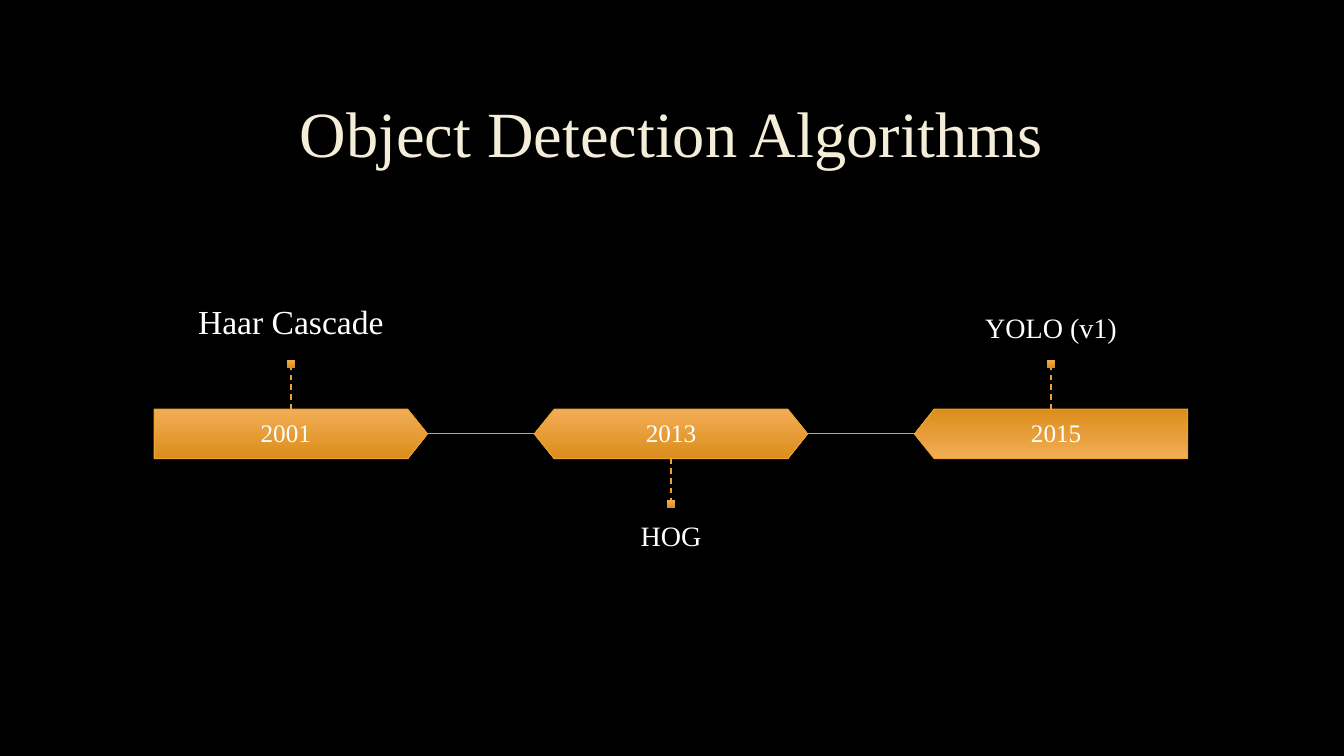
from dataclasses import dataclass

from lxml.etree import SubElement
from pptx import Presentation
from pptx.dml.color import RGBColor
from pptx.enum.dml import MSO_LINE
from pptx.enum.shapes import MSO_CONNECTOR, MSO_SHAPE
from pptx.enum.text import MSO_ANCHOR, PP_ALIGN
from pptx.oxml.ns import qn
from pptx.util import Inches, Pt

TITLE = "Object Detection Algorithms"
MILESTONES = [
    dict(year="2001", name="Haar Cascade", size=24, pad=0.23, above=True,
         shape=MSO_SHAPE.PENTAGON, turn=0, year_shift=-0.05),
    dict(year="2013", name="HOG", size=20, pad=0.19, above=False,
         shape=MSO_SHAPE.HEXAGON, turn=0, year_shift=0),
    dict(year="2015", name="YOLO (v1)", size=20, pad=0.19, above=True,
         shape=MSO_SHAPE.PENTAGON, turn=180, year_shift=0.05),
]


@dataclass(frozen=True)
class Theme:
    font: str = "Times New Roman"
    background: str = "000000"
    title: str = "F4EDD8"
    text: str = "FFFFFF"
    accent: str = "F0A22E"
    light: str = "F2AD56"
    dark: str = "DB8E1B"
    title_size: int = 46
    year_size: int = 18


THEME = Theme()
WIDTH, HEIGHT = 13.33, 7.5
PITCH = 3.77
BAR_W, BAR_H = 2.71, 0.49
BAR_LEFT, BAR_TOP = 1.53, 4.06
STEM, MARK = 0.41, 0.08
LABEL_H = 1.3
LABEL_TOPS = {True: 2.27, False: 5.03}


def color(value):
    return RGBColor.from_string(value)


def write(sp, text, size, fill, anchor, pad=0.0):
    tf = sp.text_frame
    tf.word_wrap = True
    tf.vertical_anchor = anchor
    tf.margin_left = tf.margin_right = 0
    tf.margin_top = tf.margin_bottom = Inches(pad)
    p = tf.paragraphs[0]
    p.alignment = PP_ALIGN.CENTER
    p.line_spacing = 0.9
    r = p.add_run()
    r.text = text
    r.font.name = THEME.font
    r.font.size = Pt(size)
    r.font.color.rgb = color(fill)


def add_text(s, box, *style):
    write(s.shapes.add_textbox(*map(Inches, box)), *style)


def add_block(s, kind, box):
    sp = s.shapes.add_shape(kind, *map(Inches, box))
    sp.shadow.inherit = False
    sp.fill.gradient()
    sp.fill.gradient_angle = 270
    for stop, value in zip(sp.fill.gradient_stops, (THEME.light, THEME.dark)):
        stop.color.rgb = color(value)
    sp.line.fill.background()
    return sp


def add_line(s, ends, width, dash=None):
    line = s.shapes.add_connector(MSO_CONNECTOR.STRAIGHT, *map(Inches, ends))
    line.line.color.rgb = color(THEME.accent)
    line.line.width = Pt(width)
    if dash:
        line.line.dash_style = dash
    SubElement(line._element.spPr, qn("a:effectLst"))


def add_milestone(s, index, item):
    left = BAR_LEFT + index * PITCH
    center = left + BAR_W / 2
    bar = add_block(s, item["shape"], (left, BAR_TOP, BAR_W, BAR_H))
    bar.adjustments[0] = 0.4
    bar.rotation = item["turn"]
    bar.line.color.rgb = color(THEME.accent)
    bar.line.width = Pt(0.75)
    add_text(s, (left + item["year_shift"], BAR_TOP, BAR_W, BAR_H),
             item["year"], THEME.year_size, THEME.text, MSO_ANCHOR.MIDDLE)

    above = item["above"]
    start = BAR_TOP if above else BAR_TOP + BAR_H
    end = start - STEM if above else start + STEM
    add_line(s, (center, start, center, end), 1, MSO_LINE.DASH)
    mark_top = end - MARK if above else end
    add_block(s, MSO_SHAPE.RECTANGLE, (center - MARK / 2, mark_top, MARK, MARK))
    add_text(s, (center - PITCH / 2, LABEL_TOPS[above], PITCH, LABEL_H),
             item["name"], item["size"], THEME.text,
             MSO_ANCHOR.BOTTOM if above else MSO_ANCHOR.TOP, item["pad"])

    if index < len(MILESTONES) - 1:
        middle = BAR_TOP + BAR_H / 2
        add_line(s, (left + BAR_W, middle, left + PITCH, middle), 0.75)


def main():
    prs = Presentation()
    prs.slide_width, prs.slide_height = Inches(WIDTH), Inches(HEIGHT)
    s = prs.slides.add_slide(prs.slide_layouts[5])
    s.background.fill.solid()
    s.background.fill.fore_color.rgb = color(THEME.background)
    title = s.shapes.title
    title.left, title.top, title.width, title.height = map(Inches, (1, 0.67, 11.32, 1.38))
    write(title, TITLE, THEME.title_size, THEME.title, MSO_ANCHOR.MIDDLE)
    for index, item in enumerate(MILESTONES):
        add_milestone(s, index, item)
    prs.save("out.pptx")


if __name__ == "__main__":
    main()
